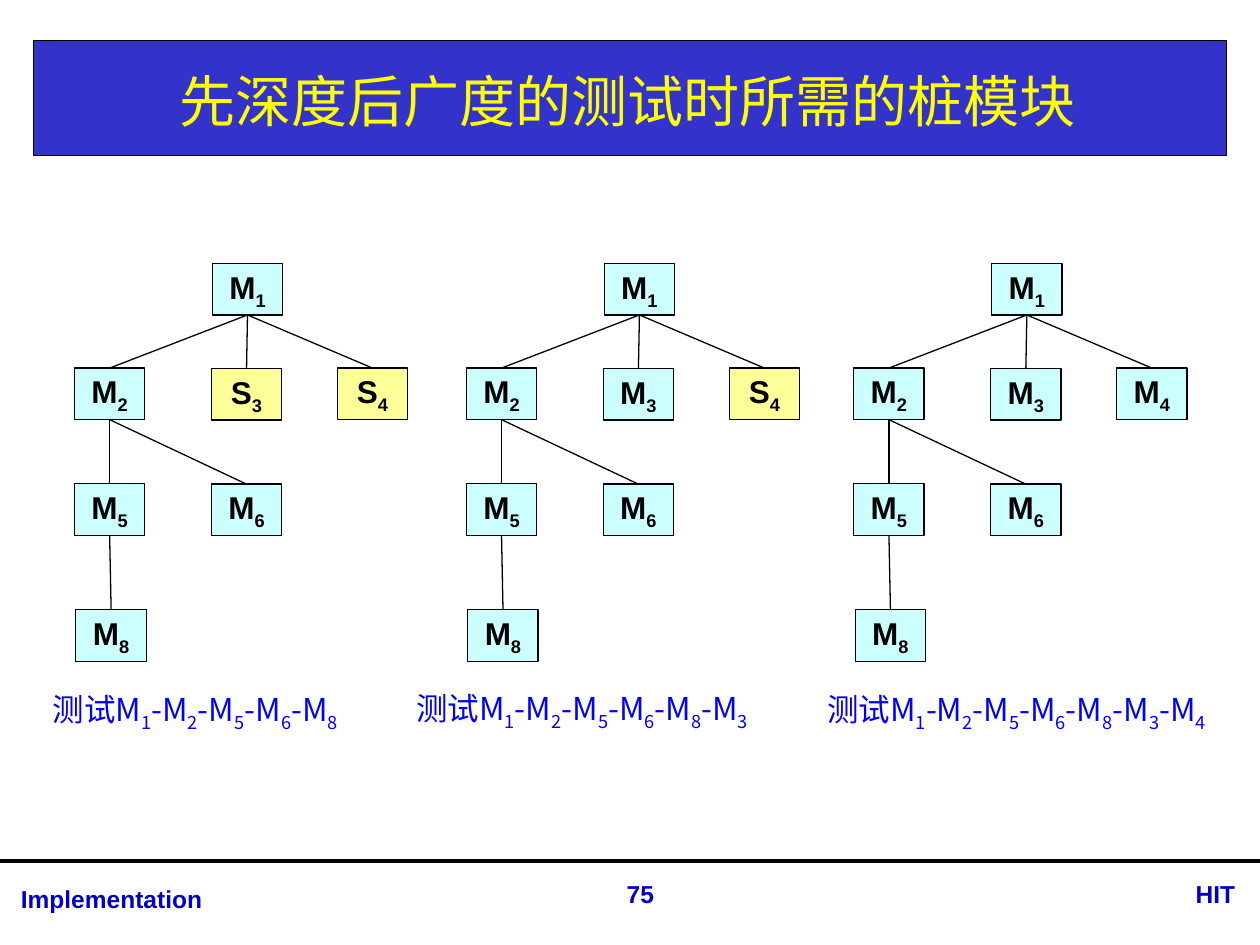
from itertools import groupby

from lxml import etree
from pptx import Presentation
from pptx.dml.color import RGBColor
from pptx.enum.shapes import MSO_CONNECTOR, MSO_SHAPE
from pptx.enum.text import MSO_ANCHOR, PP_ALIGN
from pptx.oxml.ns import qn
from pptx.util import Cm, Pt

RECT = MSO_SHAPE.RECTANGLE
STRAIGHT = MSO_CONNECTOR.STRAIGHT
LEFT, CENTER, RIGHT = PP_ALIGN.LEFT, PP_ALIGN.CENTER, PP_ALIGN.RIGHT
TOP, MIDDLE = MSO_ANCHOR.TOP, MSO_ANCHOR.MIDDLE
SIDE_TOP, SIDE_BOTTOM = 0, 2

LATIN, CJK = "Arial", "Noto Sans CJK SC"
BLACK, BANNER, YELLOW = "000000", "3333CC", "FFFF00"
FOOTER, CAPTION = "0000CC", "0000FF"
MODULE, STUB = "CCFFFF", "FFFF99"


def rgb(value):
    return RGBColor.from_string(value)


class SlideBuilder:
    def __init__(self, slide):
        self.slide = slide

    def fill_text(self, tf, text, size, font, color, bold=False, align=CENTER,
                  anchor=TOP, subscripts=False):
        """Set one paragraph; with subscripts, digits are lowered."""
        tf.word_wrap = True
        tf.vertical_anchor = anchor
        p = tf.paragraphs[0]
        p.alignment = align
        if subscripts:
            parts = [(low, "".join(chars)) for low, chars in groupby(text, str.isdigit)]
        else:
            parts = [(False, text)]
        for low, part in parts:
            r = p.add_run()
            r.text = part
            r.font.size = Pt(size)
            r.font.name = font
            r.font.bold = bold
            r.font.color.rgb = rgb(color)
            r_pr = r._r.get_or_add_rPr()
            etree.SubElement(r_pr, qn("a:ea")).set("typeface", font)
            if low:
                r_pr.set("baseline", "-25000")

    def text(self, x, y, w, h, text, size, font, color, **style):
        sp = self.slide.shapes.add_textbox(Cm(x), Cm(y), Cm(w), Cm(h))
        self.fill_text(sp.text_frame, text, size, font, color, **style)

    def box(self, shapes, x, y, w, h, fill):
        sp = shapes.add_shape(RECT, Cm(x), Cm(y), Cm(w), Cm(h))
        sp.shadow.inherit = False
        sp.fill.solid()
        sp.fill.fore_color.rgb = rgb(fill)
        sp.line.color.rgb = rgb(BLACK)
        sp.line.width = Pt(0.75)
        return sp

    def line(self, shapes, x1, y1, x2, y2, width):
        cxn = shapes.add_connector(STRAIGHT, Cm(x1), Cm(y1), Cm(x2), Cm(y2))
        cxn.line.color.rgb = rgb(BLACK)
        cxn.line.width = Pt(width)
        etree.SubElement(cxn._element.spPr, qn("a:effectLst"))
        return cxn

    def tree(self, left, places, edges, stubs):
        """Draw one module tree; numbers in stubs are shown as stub modules."""
        shapes = self.slide.shapes.add_group_shape().shapes
        nodes = {}
        for number, (dx, y) in places.items():
            is_stub = number in stubs
            sp = self.box(shapes, left + dx, y, NODE_W, NODE_H, STUB if is_stub else MODULE)
            self.fill_text(sp.text_frame, f"{'S' if is_stub else 'M'}{number}", 18, LATIN,
                           BLACK, bold=True, anchor=MIDDLE, subscripts=True)
            nodes[number] = sp
        for parent, child in edges:
            (x1, y1), (x2, y2) = places[parent], places[child]
            mid = left + NODE_W / 2
            cxn = self.line(shapes, mid + x1, y1 + NODE_H, mid + x2, y2, 0.75)
            cxn.begin_connect(nodes[parent], SIDE_BOTTOM)
            cxn.end_connect(nodes[child], SIDE_TOP)


# Tree layout: module number -> (offset from the tree's left, top)
NODE_W, NODE_H = 1.42, 1.04
PLACES = {
    1: (2.78, 5.31),
    2: (0, 7.42), 3: (2.76, 7.43), 4: (5.3, 7.42),
    5: (0, 9.75), 6: (2.76, 9.76),
    8: (0.03, 12.29),
}
EDGES = [(1, 2), (1, 3), (1, 4), (2, 5), (2, 6), (5, 8)]

# Each step: tree left, stub numbers, caption left, top, width, caption
STEPS = [
    (1.5, {3, 4}, 0.38, 13.79, 7.11, "测试M1-M2-M5-M6-M8"),
    (9.4, {4}, 7.62, 13.77, 8.23, "测试M1-M2-M5-M6-M8-M3"),
    (17.21, set(), 15.95, 13.79, 9.09, "测试M1-M2-M5-M6-M8-M3-M4"),
]


def main():
    prs = Presentation()
    prs.slide_width, prs.slide_height = Cm(25.4), Cm(19.05)
    s = prs.slides.add_slide(prs.slide_layouts[6])
    builder = SlideBuilder(s)

    # Title banner
    builder.box(s.shapes, 0.67, 0.82, 24.05, 2.31, BANNER)
    builder.text(0.66, 0.91, 24, 2.21, "先深度后广度的测试时所需的桩模块",
                 32, CJK, YELLOW, anchor=MIDDLE)

    # Footer
    builder.line(s.shapes, 0, 17.35, 25.4, 17.35, 2.25)
    for x, y, w, label, align in [
        (0.17, 17.7, 9.78, "Implementation", LEFT),
        (22.53, 17.6, 2.62, "HIT", RIGHT),
        (11.6, 17.6, 2.62, "75", CENTER),
    ]:
        builder.text(x, y, w, 0.86, label, 14, LATIN, FOOTER, bold=True, align=align)

    # Test steps with captions
    for left, stubs, x, y, w, caption in STEPS:
        builder.tree(left, PLACES, EDGES, stubs)
        builder.text(x, y, w, 1.02, caption, 18, CJK, CAPTION, subscripts=True)

    prs.save("out.pptx")


if __name__ == "__main__":
    main()
